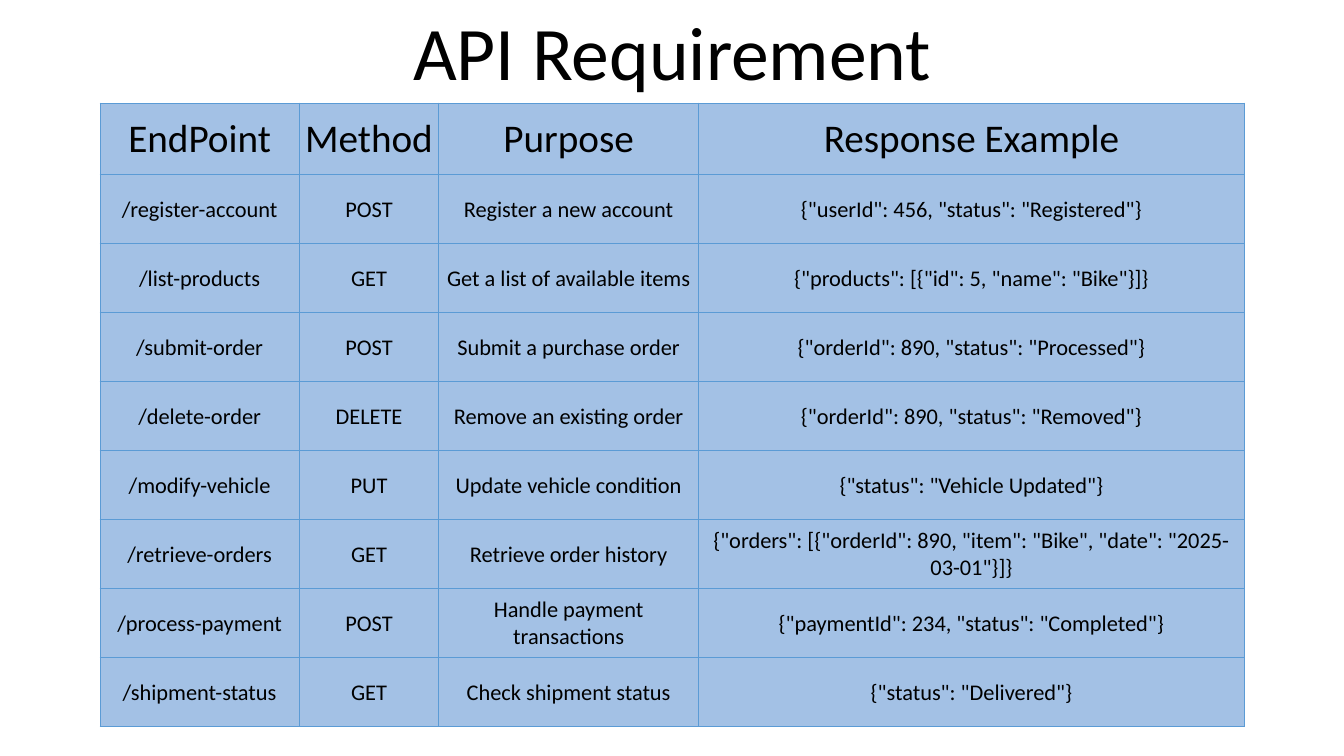
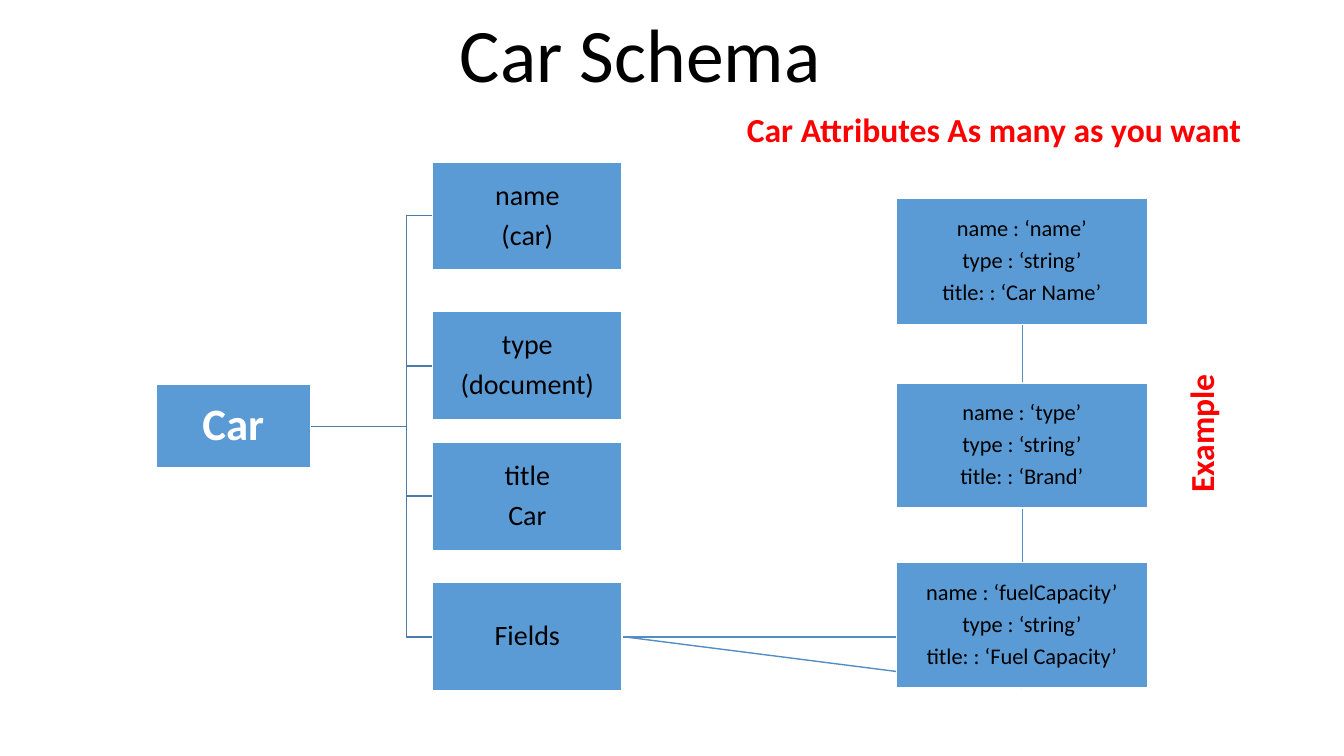
"""Build the API requirement table and the car schema diagram."""
import pptx
import pptx.dml.color
import pptx.enum.shapes
import pptx.enum.text
import pptx.oxml.ns
import pptx.util
from lxml import etree
from pptx.util import Inches, Pt

FONT = "Calibri"
COLORS = {
    "black": "000000",
    "white": "FFFFFF",
    "red": "FF0000",
    "blue": "5B9BD5",
    "cell": "A3C1E5",
    "tree": "497CAB",
    "attribute": "538DC1",
}
TITLE = {"height": 1.01, "size": 54}
LABEL = {"height": 0.5, "size": 24, "color": "red", "bold": True}

HEADER = ("EndPoint", "Method", "Purpose", "Response Example")
ENDPOINTS = [
    ("/register-account", "POST", "Register a new account",
     '{"userId": 456, "status": "Registered"}'),
    ("/list-products", "GET", "Get a list of available items",
     '{"products": [{"id": 5, "name": "Bike"}]}'),
    ("/submit-order", "POST", "Submit a purchase order",
     '{"orderId": 890, "status": "Processed"}'),
    ("/delete-order", "DELETE", "Remove an existing order",
     '{"orderId": 890, "status": "Removed"}'),
    ("/modify-vehicle", "PUT", "Update vehicle condition",
     '{"status": "Vehicle Updated"}'),
    ("/retrieve-orders", "GET", "Retrieve order history",
     '{"orders": [{"orderId": 890, "item": "Bike", "date": "2025-03-01"}]}'),
    ("/process-payment", "POST", "Handle payment transactions",
     '{"paymentId": 234, "status": "Completed"}'),
    ("/shipment-status", "GET", "Check shipment status",
     '{"status": "Delivered"}'),
]
COLUMN_WIDTHS = (1.98, 1.38, 2.58, 5.41)
HEADER_HEIGHT = 0.71
TABLE_HEIGHT = 6.19

PROPERTIES = [
    (1.61, 2.14, "name\n(car)"),
    (3.09, 3.63, "type\n(document)"),
    (4.39, 4.92, "title\nCar"),
    (5.78, 6.32, "Fields"),
]
ATTRIBUTES = [
    (1.97, 1.25, "name", "Car Name"),
    (3.8, 1.24, "type", "Brand"),
    (5.58, 1.24, "fuelCapacity", "Fuel Capacity"),
]
CAR_OUT = (3.08, 4.23)
TRUNK_X = 4.03
PROPERTY_X = 4.29
FIELDS_OUT = (6.17, 6.32)
CHAIN_X = 10.14


def rgb(name):
    """Return a named colour."""
    return pptx.dml.color.RGBColor.from_string(COLORS[name])


def set_text(tf, text, size, color="black", bold=False):
    """Write centred text and format every run."""
    tf.text = text
    for p in tf.paragraphs:
        p.alignment = pptx.enum.text.PP_ALIGN.CENTER
        for r in p.runs:
            r.font.name = FONT
            r.font.size = Pt(size)
            r.font.bold = bold
            r.font.color.rgb = rgb(color)


def set_line(sp, color):
    """Give a shape or connector a thin solid line."""
    sp.line.color.rgb = rgb(color)
    sp.line.width = Pt(1)


def add_label(s, text, center_x, top, width, height, size, color="black", bold=False):
    """Add a one-line text box centred on a horizontal position."""
    sp = s.shapes.add_textbox(Inches(center_x - width / 2), Inches(top),
                              Inches(width), Inches(height))
    sp.text_frame.word_wrap = False
    set_text(sp.text_frame, text, size, color, bold)
    return sp


def add_box(s, text, left, top, width, height, size, color="black", bold=False):
    """Add a blue rectangle with a white outline and spaced lines."""
    sp = s.shapes.add_shape(pptx.enum.shapes.MSO_SHAPE.RECTANGLE, Inches(left),
                            Inches(top), Inches(width), Inches(height))
    sp.shadow.inherit = False
    sp.fill.solid()
    sp.fill.fore_color.rgb = rgb("blue")
    set_line(sp, "white")
    tf = sp.text_frame
    tf.word_wrap = True
    tf.vertical_anchor = pptx.enum.text.MSO_ANCHOR.MIDDLE
    tf.margin_left = tf.margin_right = Inches(0.01)
    tf.margin_top = tf.margin_bottom = Inches(0.01)
    set_text(tf, text, size, color, bold)
    for p in tf.paragraphs:
        p.line_spacing = 0.9
        p.space_after = Pt(size * 0.35)
    return sp


def add_path(s, color, *points):
    """Add an open line with corners through the points."""
    first, *rest = [(Inches(x), Inches(y)) for x, y in points]
    builder = s.shapes.build_freeform(*first)
    builder.add_line_segments(rest, close=False)
    sp = builder.convert_to_shape()
    sp.shadow.inherit = False
    sp.fill.background()
    set_line(sp, color)


def add_line(s, color, start, end):
    """Add a straight connector between two points."""
    line = s.shapes.add_connector(pptx.enum.shapes.MSO_CONNECTOR.STRAIGHT,
                                  *(Inches(v) for v in (*start, *end)))
    set_line(line, color)
    etree.SubElement(line._element.spPr, pptx.oxml.ns.qn("a:effectLst"))
    return line


def format_cell(cell, text, size):
    """Fill, border and label one table cell."""
    cell.margin_left = cell.margin_right = cell.margin_top = Inches(0.01)
    cell.margin_bottom = 0
    cell.vertical_anchor = pptx.enum.text.MSO_ANCHOR.MIDDLE
    tc_pr = cell._tc.get_or_add_tcPr()
    for side in ("lnL", "lnR", "lnT", "lnB"):
        ln = etree.SubElement(tc_pr, pptx.oxml.ns.qn(f"a:{side}"), w=str(Pt(0.5)))
        fill = etree.SubElement(ln, pptx.oxml.ns.qn("a:solidFill"))
        etree.SubElement(fill, pptx.oxml.ns.qn("a:srgbClr"), val=COLORS["blue"])
    cell.fill.solid()
    cell.fill.fore_color.rgb = rgb("cell")
    set_text(cell.text_frame, text, size)


def add_endpoint_table(s):
    """Add the table of endpoints."""
    rows = [HEADER, *ENDPOINTS]
    table = s.shapes.add_table(len(rows), len(HEADER), Inches(0.99), Inches(1.02),
                               Inches(sum(COLUMN_WIDTHS)), Inches(TABLE_HEIGHT)).table
    table.first_row = table.horz_banding = False
    for column, width in zip(table.columns, COLUMN_WIDTHS):
        column.width = Inches(width)
    body_height = (TABLE_HEIGHT - HEADER_HEIGHT) / len(ENDPOINTS)
    for i, row in enumerate(rows):
        table.rows[i].height = Inches(body_height if i else HEADER_HEIGHT)
        for j, text in enumerate(row):
            format_cell(table.cell(i, j), text, 16 if i else 28)


def add_schema_diagram(s):
    """Add the links, then the car, property and attribute boxes over them."""
    for top, height, _, _ in ATTRIBUTES[:-1]:
        add_path(s, "attribute", FIELDS_OUT, (CHAIN_X, FIELDS_OUT[1]),
                 (CHAIN_X, top + height))
    last_top, last_height, _, _ = ATTRIBUTES[-1]
    diagonal = add_line(s, "attribute", FIELDS_OUT, (CHAIN_X, last_top + last_height))
    for _, y, _ in PROPERTIES:
        add_path(s, "tree", CAR_OUT, (TRUNK_X, CAR_OUT[1]), (TRUNK_X, y),
                 (PROPERTY_X, y))
    add_box(s, "Car", 1.55, 3.81, 1.53, 0.83, 32, "white", True)
    for top, _, text in PROPERTIES:
        fields = add_box(s, text, PROPERTY_X, top, 1.88, 1.07, 20)
    for top, height, name, title in ATTRIBUTES:
        attribute = add_box(s, f"name : ‘{name}’\ntype : ‘string’\ntitle: : ‘{title}’",
                            8.89, top, 2.49, height, 16)
    diagonal.begin_connect(fields, 3)
    diagonal.end_connect(attribute, 2)


def build_api_slide(s):
    """Build the API requirement slide."""
    add_endpoint_table(s)
    add_label(s, "API Requirement", 6.67, 0, 5.4, **TITLE)


def build_schema_slide(s):
    """Build the car schema slide."""
    add_schema_diagram(s)
    add_label(s, "Car Schema", 6.35, 0.02, 4.02, **TITLE)
    add_label(s, "Car Attributes As many as you want", 9.86, 1.03, 5.16, **LABEL)
    add_label(s, "Example", 11.91, 4.05, 1.46, **LABEL).rotation = 270


def main():
    """Create and save the presentation."""
    prs = pptx.Presentation()
    prs.slide_width = Inches(13.33)
    prs.slide_height = Inches(7.5)
    for build in (build_api_slide, build_schema_slide):
        build(prs.slides.add_slide(prs.slide_layouts[6]))
    prs.save("out.pptx")


if __name__ == "__main__":
    main()
